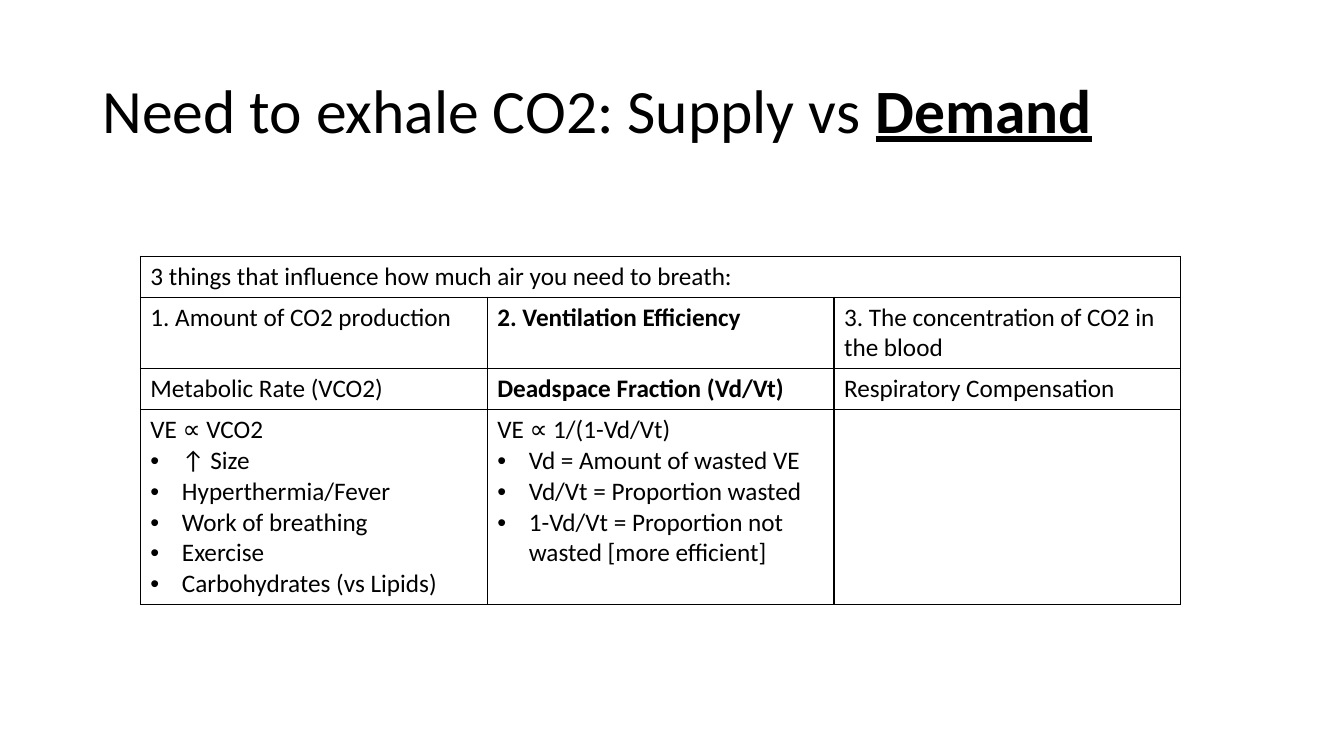
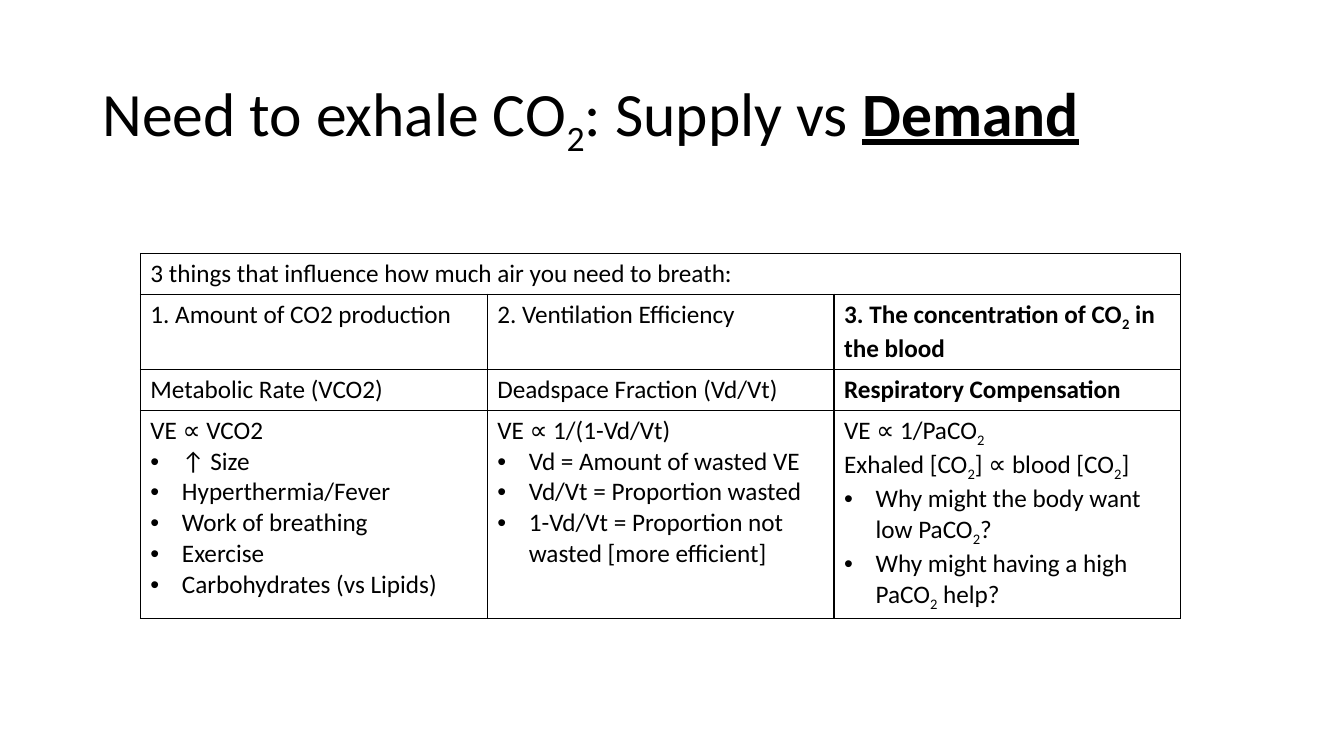
from lxml import etree
from pptx import Presentation
from pptx.dml.color import RGBColor
from pptx.enum import text
from pptx.oxml import ns
from pptx.util import Pt

BLACK = RGBColor(0, 0, 0)
WHITE = RGBColor(255, 255, 255)
TITLE_FORMAT = {"name": "Calibri", "size": Pt(44)}
EMPHASIS_FORMAT = TITLE_FORMAT | {"bold": True, "underline": True}
CELL_FORMAT = {"name": "Calibri", "size": Pt(18)}
TITLE_BOX = {"left": Pt(66), "top": Pt(28.75), "width": Pt(828), "height": Pt(104.4)}
TABLE_LEFT, COLUMN_WIDTH = 100.25, 247.75
BULLET_INDENT = Pt(22.5)

PRODUCTION = ["VE ∝ VCO2", "• ↑ Size", "• Hyperthermia/Fever", "• Work of breathing",
              "• Exercise", "• Carbohydrates (vs Lipids)"]
EFFICIENCY = ["VE ∝ 1/(1-Vd/Vt)", "• Vd = Amount of wasted VE", "• Vd/Vt = Proportion wasted",
              "• 1-Vd/Vt = Proportion not wasted [more efficient]"]
COMPENSATION = ["VE ∝ 1/PaCO~2~", "Exhaled [CO~2~] ∝ blood [CO~2~]",
                "• Why might the body want low PaCO~2~?",
                "• Why might having a high PaCO~2~ help?"]

PAGES = [
    {"title": "Need to exhale CO2: Supply vs ", "top": 183, "heights": [29.25, 51.25, 29.25, 138.5],
     "blood": "3. The concentration of CO2 in the blood", "focus": 1, "compensation": []},
    {"title": "Need to exhale CO~2~: Supply vs ", "top": 181, "heights": [29.25, 53.5, 29.25, 148.5],
     "blood": "3. The concentration of CO~2~ in the blood", "focus": 2, "compensation": COMPENSATION},
]


def add_element(parent, tag, **values):
    """Append a drawing element with the given attributes."""
    return etree.SubElement(parent, ns.qn(tag), values)


def write_spans(para, marked, formats):
    """Add text to a paragraph, with the parts between tildes as subscript."""
    for index, piece in enumerate(marked.split("~")):
        if piece:
            span = para.add_run()
            span.text = piece
            for name, value in formats.items():
                setattr(span.font, name, value)
            span.font.color.rgb = BLACK
            if index % 2:
                span.font._element.set("baseline", "-25000")


def add_bullet(para):
    """Give a paragraph a hanging bullet."""
    properties = para._p.get_or_add_pPr()
    properties.set("marL", str(BULLET_INDENT))
    properties.set("indent", str(-BULLET_INDENT))
    add_element(properties, "a:buFont", typeface="Arial")
    add_element(properties, "a:buChar", char="•")


def add_title(page, title):
    """Place the title with its emphasised last word."""
    box = page.shapes.title
    for name, value in TITLE_BOX.items():
        setattr(box, name, value)
    frame = box.text_frame
    frame.auto_size = text.MSO_AUTO_SIZE.NONE
    frame.vertical_anchor = text.MSO_ANCHOR.MIDDLE
    para = frame.paragraphs[0]
    para.alignment = text.PP_ALIGN.LEFT
    para.line_spacing = 0.9
    write_spans(para, title, TITLE_FORMAT)
    write_spans(para, "Demand", EMPHASIS_FORMAT)


def style_cell(cell):
    """Draw thin black borders around a white cell."""
    properties = cell._tc.get_or_add_tcPr()
    for side in ("a:lnL", "a:lnR", "a:lnT", "a:lnB"):
        line = add_element(properties, side, w=str(Pt(1)))
        fill = add_element(line, "a:solidFill")
        add_element(fill, "a:srgbClr", val=str(BLACK))
    cell.fill.solid()
    cell.fill.fore_color.rgb = WHITE


def fill_cell(cell, lines, bold):
    """Write plain and bulleted lines into a cell."""
    frame = cell.text_frame
    for index, line in enumerate(lines):
        para = frame.add_paragraph() if index else frame.paragraphs[0]
        if line.startswith("• "):
            add_bullet(para)
        write_spans(para, line.removeprefix("• "), CELL_FORMAT | {"bold": bold})


def add_factor_table(page, left, top, heights, rows, focus):
    """Build the factor table, with bold headings in the focus column."""
    columns = len(rows[-1])
    table = page.shapes.add_table(len(rows), columns, Pt(left), Pt(top),
                                  Pt(COLUMN_WIDTH * columns), Pt(sum(heights))).table
    table.first_row = table.horz_banding = False
    for column in table.columns:
        column.width = Pt(COLUMN_WIDTH)
    for row, height in zip(table.rows, heights):
        row.height = Pt(height)
    for cell in table.iter_cells():
        style_cell(cell)
    table.cell(0, 0).merge(table.cell(0, columns - 1))
    for row_index, row in enumerate(rows):
        for column_index, lines in enumerate(row):
            bold = row_index in (1, 2) and column_index == focus
            fill_cell(table.cell(row_index, column_index), lines, bold)


def add_factor_page(deck, content):
    """Add a slide with the title and the factor table."""
    page = deck.slides.add_slide(deck.slide_layouts[5])
    add_title(page, content["title"])
    rows = [
        [["3 things that influence how much air you need to breath:"]],
        [["1. Amount of CO2 production"], ["2. Ventilation Efficiency"], [content["blood"]]],
        [["Metabolic Rate (VCO2)"], ["Deadspace Fraction (Vd/Vt)"], ["Respiratory Compensation"]],
        [PRODUCTION, EFFICIENCY, content["compensation"]],
    ]
    add_factor_table(page, TABLE_LEFT, content["top"], content["heights"], rows, content["focus"])


def main():
    """Build and save the deck."""
    deck = Presentation()
    deck.slide_width, deck.slide_height = Pt(960), Pt(540)
    for content in PAGES:
        add_factor_page(deck, content)
    deck.save("out.pptx")


if __name__ == "__main__":
    main()
